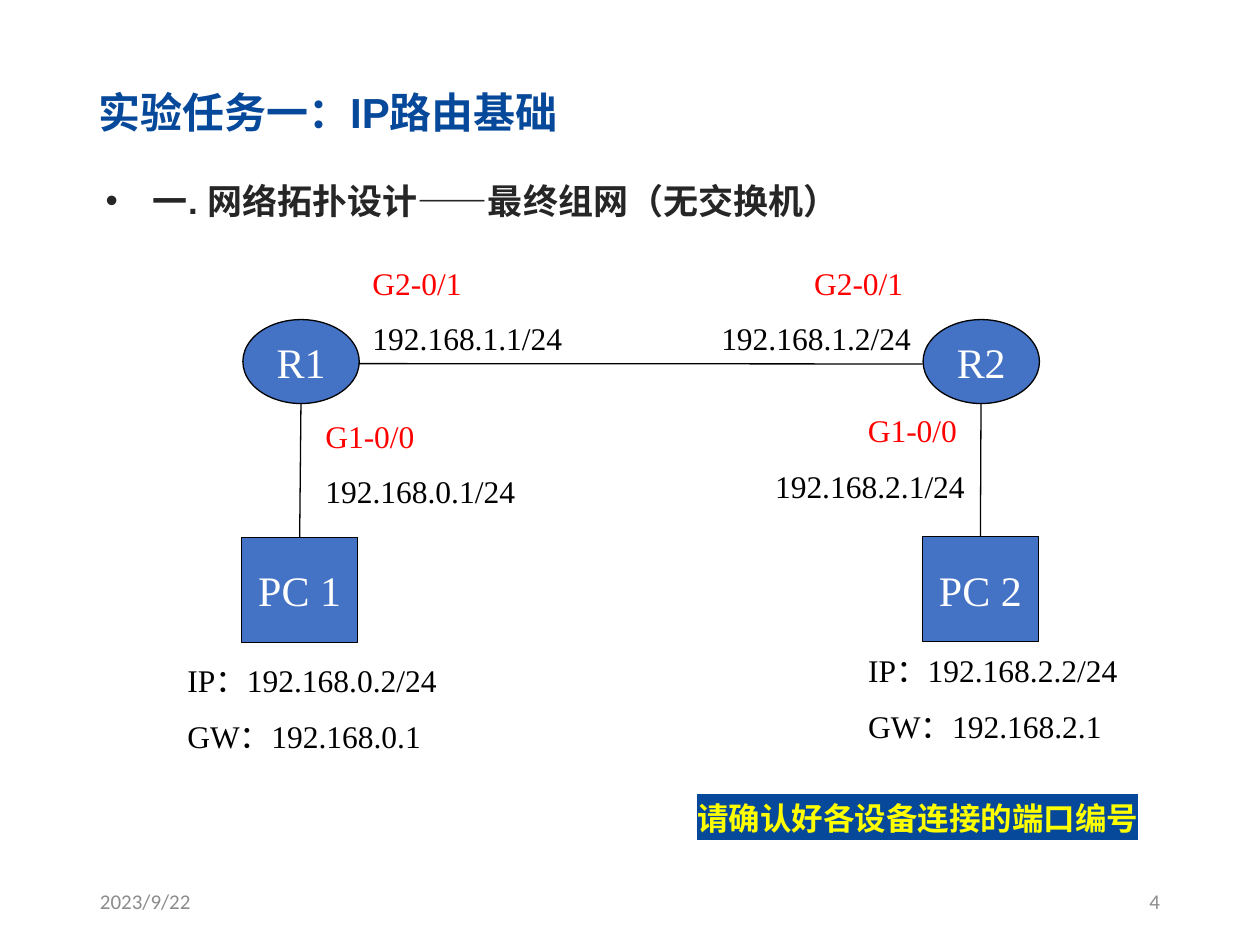
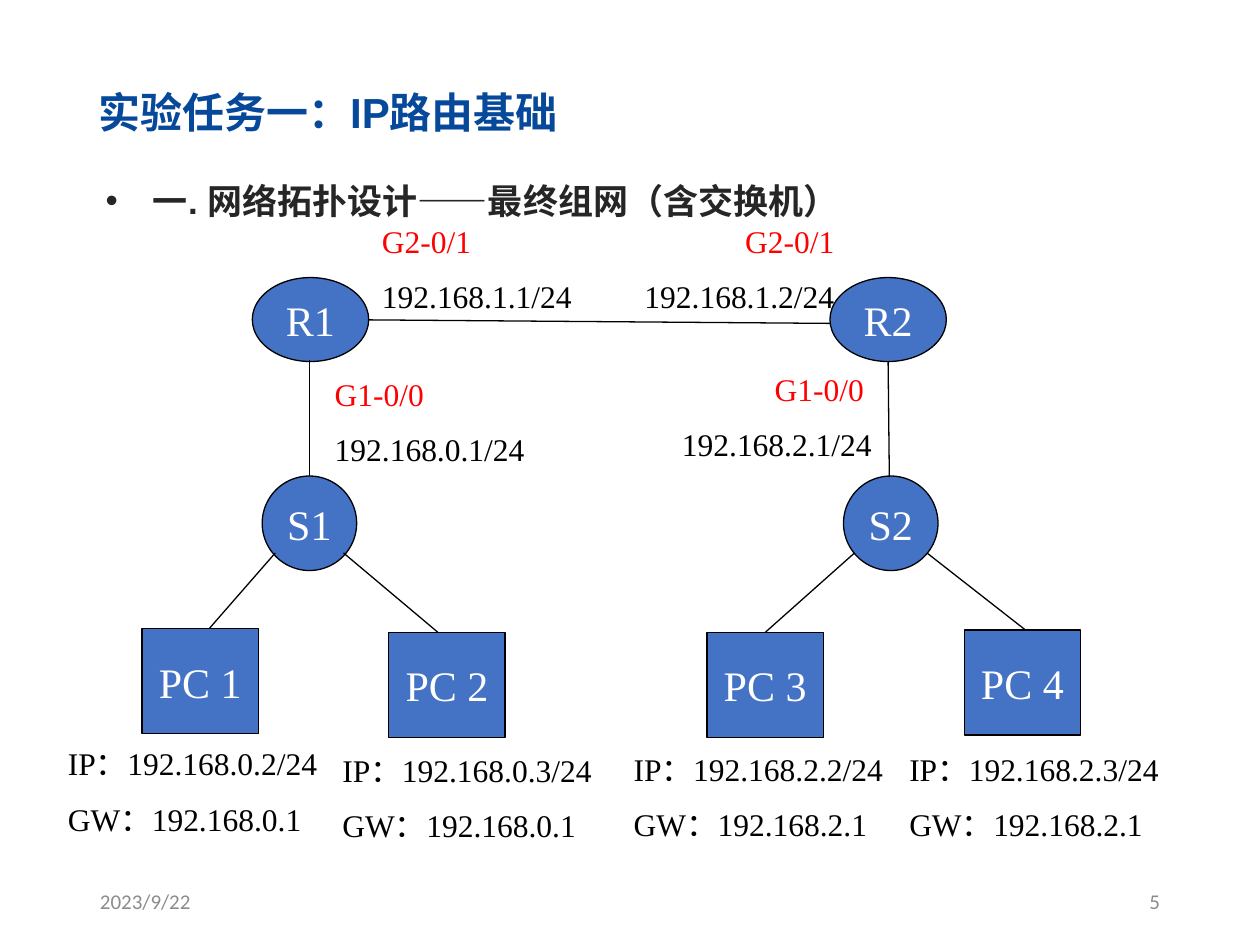
from lxml import etree
from pptx import Presentation
from pptx.dml.color import RGBColor
from pptx.enum.shapes import MSO_CONNECTOR, MSO_SHAPE
from pptx.enum.text import MSO_ANCHOR, MSO_AUTO_SIZE, PP_ALIGN
from pptx.oxml.ns import qn
from pptx.util import Pt

NAVY = RGBColor(0x06, 0x48, 0x99)
BLUE = RGBColor(0x44, 0x72, 0xC4)
INK = RGBColor(0x26, 0x26, 0x26)
GRAY = RGBColor(0x8C, 0x8C, 0x8C)
RED = RGBColor(0xFF, 0x00, 0x00)
YELLOW = RGBColor(0xFF, 0xFF, 0x00)
BLACK = RGBColor(0x00, 0x00, 0x00)
WHITE = RGBColor(0xFF, 0xFF, 0xFF)

SERIF = "Times New Roman"
FOOTER = dict(name="Calibri", size=Pt(12), color=GRAY)
TITLE = dict(name="Arial", size=Pt(24), color=NAVY, bold=True)
HEADING = dict(name="Arial", size=Pt(20), color=INK, bold=True)
DEVICE = dict(name=SERIF, size=Pt(24), color=WHITE)
PORT = dict(name=SERIF, size=Pt(18), color=RED)
ADDRESS = dict(name=SERIF, size=Pt(18), color=BLACK)
WARNING = dict(name="Calibri", size=Pt(18), color=YELLOW, bold=True)

ROUTER_W, ROUTER_H = 66.5, 48
SWITCH_D = 54
PC_W, PC_H = 66.5, 60
LABEL_H = 62


def write(p, text, fmt, align=PP_ALIGN.LEFT):
    p.alignment = align
    r = p.add_run()
    r.text = text
    for key, value in fmt.items():
        if key == "color":
            r.font.color.rgb = value
        else:
            setattr(r.font, key, value)
    return r


def add_text(slide, box, lines, align=PP_ALIGN.LEFT, anchor=MSO_ANCHOR.TOP):
    """Add a text box with one paragraph for each (text, format) pair."""
    tf = slide.shapes.add_textbox(*map(Pt, box)).text_frame
    tf.word_wrap = True
    tf.auto_size = MSO_AUTO_SIZE.NONE
    tf.vertical_anchor = anchor
    for i, (text, fmt) in enumerate(lines):
        p = tf.add_paragraph() if i else tf.paragraphs[0]
        if i:
            p.space_before = Pt(10)
        write(p, text, fmt, align)
    return tf


def add_device(slide, kind, box, name):
    sp = slide.shapes.add_shape(kind, *map(Pt, box))
    sp.shadow.inherit = False
    sp.fill.solid()
    sp.fill.fore_color.rgb = BLUE
    sp.line.color.rgb = BLACK
    sp.line.width = Pt(0.75)
    tf = sp.text_frame
    tf.word_wrap = False
    tf.vertical_anchor = MSO_ANCHOR.MIDDLE
    write(tf.paragraphs[0], name, DEVICE, PP_ALIGN.CENTER)
    return sp


def add_link(slide, start, end, pc=None):
    """Draw a cable; it is joined to the top of pc when one is given."""
    c = slide.shapes.add_connector(MSO_CONNECTOR.STRAIGHT, *map(Pt, start + end))
    c.line.color.rgb = BLACK
    c.line.width = Pt(0.75)
    etree.SubElement(c._element.spPr, qn("a:effectLst"))
    if pc is not None:
        c.end_connect(pc, 0)


def add_frame(slide, heading, number):
    """Add the title, bulleted heading, date and slide number."""
    middle = MSO_ANCHOR.MIDDLE
    add_text(slide, (50, 500.5, 162, 29), [("2023/9/22", FOOTER)], anchor=middle)
    add_text(slide, (508, 500.5, 162, 29), [(number, FOOTER)], PP_ALIGN.RIGHT, middle)
    add_text(slide, (49, 46, 613.5, 36), [("实验任务一：IP路由基础", TITLE)], anchor=middle)
    p = add_text(slide, (53.3, 87, 613.5, 44), [(heading, HEADING)]).paragraphs[0]
    p.line_spacing = 1.5
    pPr = p._p.get_or_add_pPr()
    pPr.set("marL", str(Pt(27)))
    pPr.set("indent", str(-Pt(27)))
    etree.SubElement(pPr, qn("a:buFont")).set("typeface", "Arial")
    etree.SubElement(pPr, qn("a:buChar")).set("char", "•")


def router_site(slide, left, top, name, wan, lan, wan_label, lan_label, align):
    """Add a router and its two port labels, each offset (dx, dy, width)."""
    add_device(slide, MSO_SHAPE.OVAL, (left, top, ROUTER_W, ROUTER_H), name)
    for (port, address), (dx, dy, w) in ((wan, wan_label), (lan, lan_label)):
        add_text(slide, (left + dx, top + dy, w, LABEL_H),
                 [(port, PORT), (address, ADDRESS)], align)


def router_pair(slide, top, left_x, right_x, right_port, right_wan_dx):
    router_site(slide, left_x, top, "R1",
                ("G2-0/1", "192.168.1.1/24"), ("G1-0/0", "192.168.0.1/24"),
                (67, -35.5, 127), (40, 52, 131), PP_ALIGN.LEFT)
    router_site(slide, right_x, top, "R2",
                (right_port, "192.168.1.2/24"), ("G1-0/0 ", "192.168.2.1/24"),
                (right_wan_dx, -35.2, 127), (-93.6, 49, 124.6), PP_ALIGN.RIGHT)


def pc_site(slide, left, top, name, ip, gateway, note):
    """Add a PC and its address note, offset by note (dx, dy, width)."""
    pc = add_device(slide, MSO_SHAPE.RECTANGLE, (left, top, PC_W, PC_H), name)
    dx, dy, w = note
    add_text(slide, (left + dx, top + dy, w, LABEL_H),
             [(f"IP：{ip}/24", ADDRESS), (f"GW：{gateway}", ADDRESS)])
    return pc


def switch_site(slide, left, top, name, inset, feet):
    """Add a switch with a cable down to each of its two feet (point, pc)."""
    add_device(slide, MSO_SHAPE.OVAL, (left, top, SWITCH_D, SWITCH_D), name)
    for dx, (foot, pc) in zip((inset, SWITCH_D - inset), feet):
        add_link(slide, (left + dx, top + 44), foot, pc)


def add_warning(slide, box, text):
    tf = add_text(slide, box, [(text, WARNING)], PP_ALIGN.CENTER)
    rPr = tf.paragraphs[0].runs[0]._r.get_or_add_rPr()
    highlight = etree.Element(qn("a:highlight"))
    etree.SubElement(highlight, qn("a:srgbClr")).set("val", str(NAVY))
    rPr.find(qn("a:solidFill")).addnext(highlight)


def direct_slide(slide):
    add_frame(slide, "一. 网络拓扑设计——最终组网（无交换机）", "4")
    router_pair(slide, 182.6, 138.8, 527.5, "G2-0/1 ", -126.7)
    pc1 = pc_site(slide, 138, 307, "PC 1", "192.168.0.2", "192.168.0.1",
                  (-38, 67.4, 164))
    pc2 = pc_site(slide, 527, 306.7, "PC 2", "192.168.2.2", "192.168.2.1",
                  (-38, 62, 164))
    add_link(slide, (172, 230.6), (171.2, 307), pc1)
    add_link(slide, (205, 207.8), (527.3, 208))
    add_link(slide, (560.6, 230.6), (560.6, 306.7), pc2)
    add_warning(slide, (389.5, 453, 270, 29), "请确认好各设备连接的端口编号")


def switched_slide(slide):
    add_frame(slide, "一. 网络拓扑设计——最终组网（含交换机）", "5")
    router_pair(slide, 158.6, 144.2, 474.3, "G2-0/1", -117.4)
    pcs = [pc_site(slide, *args) for args in (
        (81.2, 359.3, "PC 1", "192.168.0.2", "192.168.0.1", (-49.5, 62.5, 164)),
        (222.2, 361.4, "PC 2", "192.168.0.3", "192.168.0.1", (-33.6, 64.2, 164)),
        (404, 361.4, "PC 3", "192.168.2.2", "192.168.2.1", (-49, 63.4, 164)),
        (551, 360, "PC 4", "192.168.2.3", "192.168.2.1", (-38.5, 64.8, 168)),
    )]
    switch_site(slide, 149.8, 272, "S1", 7.5,
                [((119.5, 359.3), None), ((250.3, 361.4), None)])
    switch_site(slide, 482, 272, "S2", 6.3,
                [((437.3, 361.4), pcs[2]), ((586, 360), None)])
    add_link(slide, (177, 206), (177, 272))
    add_link(slide, (210.4, 182.8), (474.3, 184.8))
    add_link(slide, (507.5, 206.6), (508.2, 272.7))


def main():
    prs = Presentation()
    prs.slide_width, prs.slide_height = Pt(720), Pt(540)
    for build in (direct_slide, switched_slide):
        build(prs.slides.add_slide(prs.slide_layouts[6]))
    prs.save("out.pptx")


if __name__ == "__main__":
    main()
